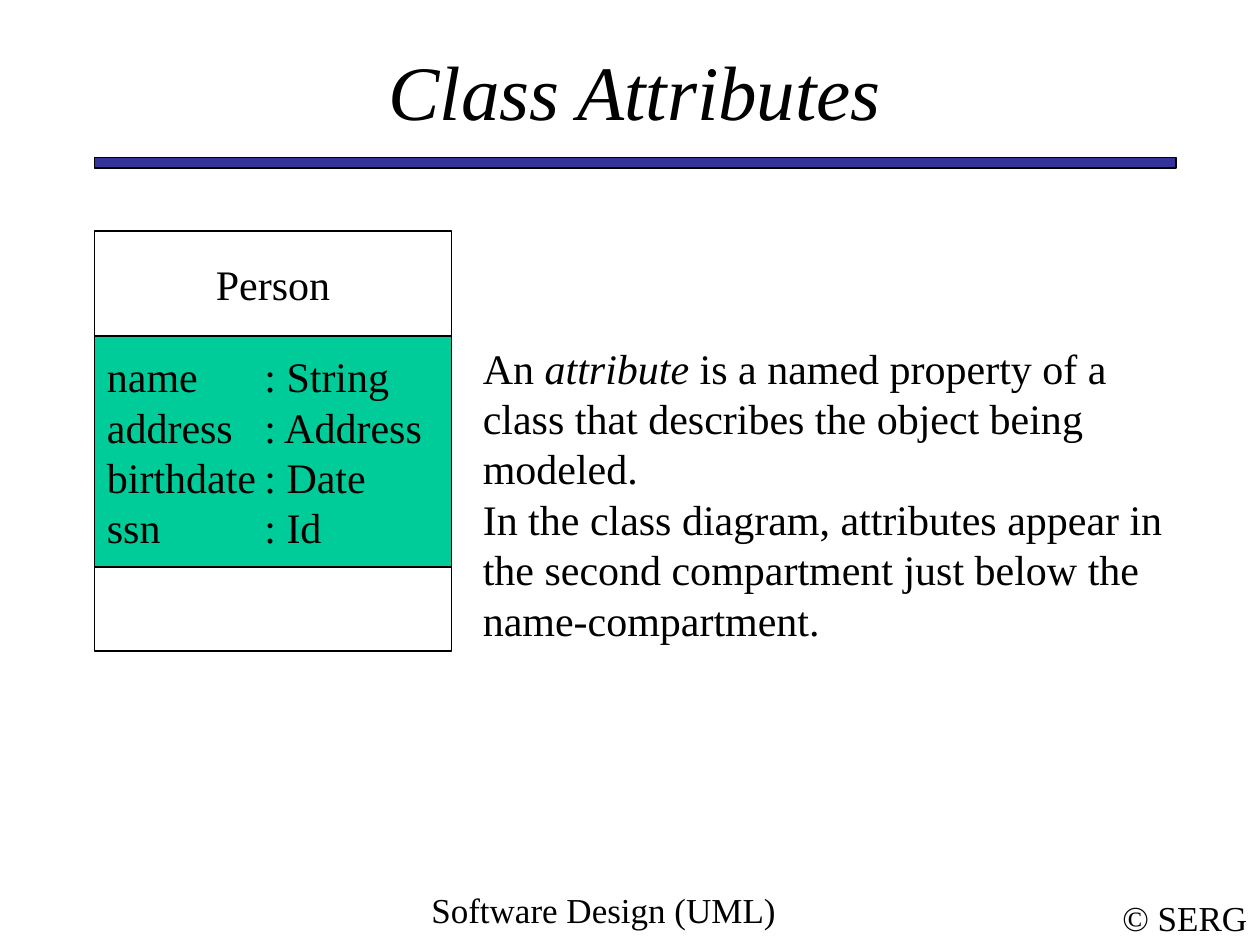
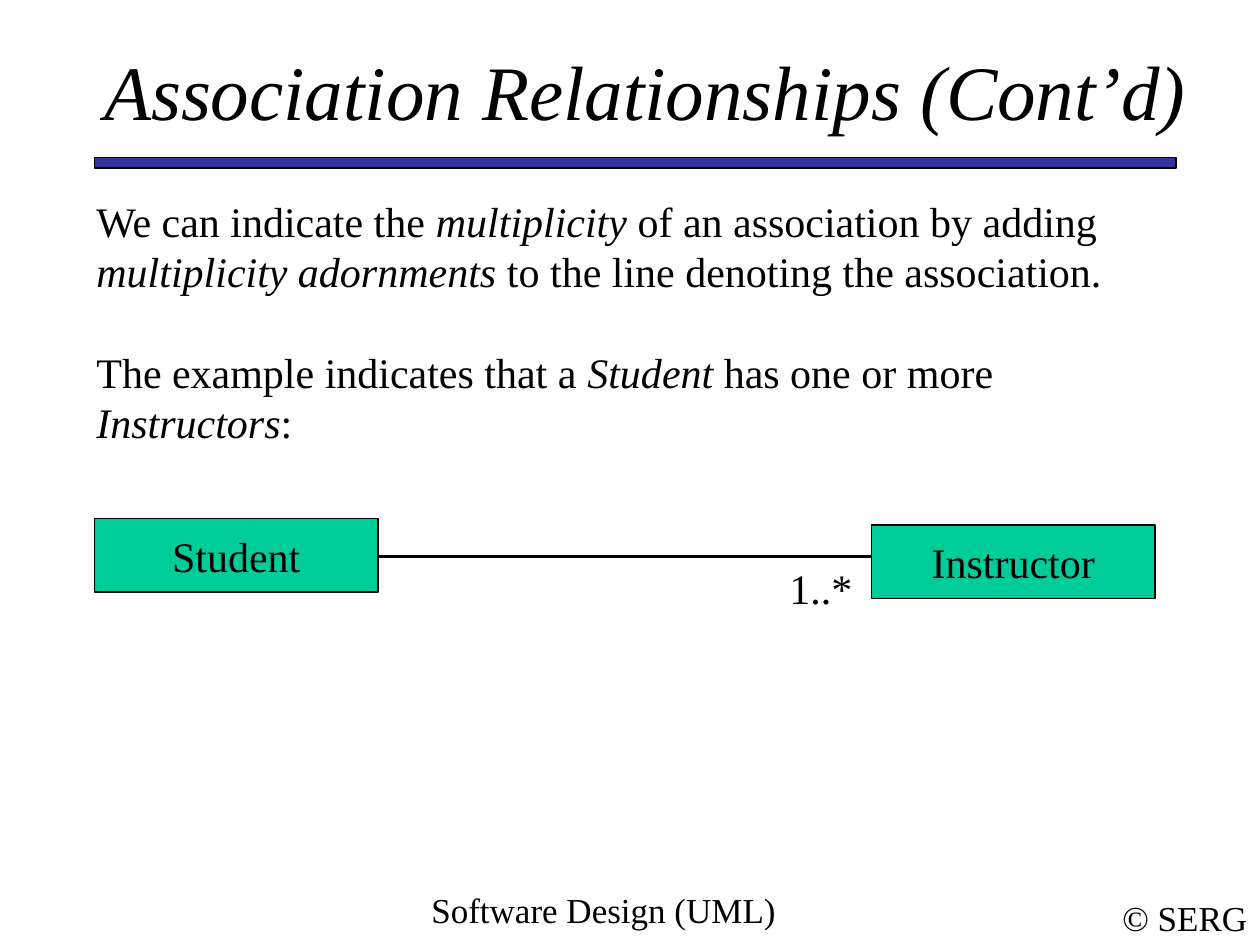
from dataclasses import dataclass

from lxml import etree
from pptx import Presentation
from pptx import util as u
from pptx.dml.color import RGBColor
from pptx.enum import shapes, text
from pptx.oxml import ns

# Shared style: the slide is a grid of twelfths of an inch
COLUMNS, ROWS = 120, 90
CELL = u.Inches(1) // 12
FONT = "Times New Roman"
BLACK, WHITE, GREEN, BLUE = "000000", "FFFFFF", "00CC99", "333399"
TITLE_SIZE, BODY_SIZE, FOOTER_SIZE = 44, 24, 20
LINE_HEIGHT = 1.2 * BODY_SIZE
LEFT, CENTER = text.PP_ALIGN.LEFT, text.PP_ALIGN.CENTER
TOP, MIDDLE = text.MSO_ANCHOR.TOP, text.MSO_ANCHOR.MIDDLE


@dataclass(frozen=True)
class Area:
    column: float
    row: float
    columns: float
    rows: float


@dataclass(frozen=True)
class Box:
    """A filled rectangle; underscores in its lines mark italics."""
    area: Area
    fill: str
    lines: tuple[str, ...] = ()
    align: text.PP_ALIGN = CENTER
    tab: float = 0


@dataclass(frozen=True)
class Label:
    """Plain text; underscores in its lines mark italics."""
    area: Area
    lines: tuple[str, ...]
    size: int = BODY_SIZE
    align: text.PP_ALIGN = LEFT
    anchor: text.MSO_ANCHOR = TOP
    wrap: bool = True
    gap: float = 0


BAND = Box(Area(9, 15, 103, 1), BLUE)
FOOTERS = (
    Label(Area(105.7, 84.8, 14.3, 5.2), ("© SERG",), FOOTER_SIZE, CENTER, MIDDLE, False),
    Label(Area(31, 84, 53, 6), ("Software Design (UML)",), FOOTER_SIZE, CENTER),
)


def cells(count: float) -> u.Emu:
    return u.Emu(round(count * CELL))


def color(value: str) -> RGBColor:
    return RGBColor.from_string(value)


def bounds(area: Area) -> tuple[u.Emu, ...]:
    return tuple(cells(n) for n in (area.column, area.row, area.columns, area.rows))


def format_font(font, size: int, italic: bool = False) -> None:
    font.name = FONT
    font.size = u.Pt(size)
    font.italic = italic
    font.color.rgb = color(BLACK)


def add_tab(paragraph, position: float) -> None:
    properties = paragraph._p.get_or_add_pPr()
    tabs = etree.SubElement(properties, ns.qn("a:tabLst"))
    etree.SubElement(tabs, ns.qn("a:tab"), pos=str(cells(position)), algn="l")


def write(frame, lines: tuple[str, ...], size: int, align: text.PP_ALIGN,
          anchor: text.MSO_ANCHOR, wrap: bool = True, gap: float = 0,
          tab: float = 0) -> None:
    frame.word_wrap = wrap
    frame.vertical_anchor = anchor
    for index, line in enumerate(lines):
        paragraph = frame.add_paragraph() if index else frame.paragraphs[0]
        paragraph.alignment = align
        if index and gap:
            paragraph.space_before = u.Pt(gap)
        if tab:
            add_tab(paragraph, tab)
        for part, words in enumerate(line.split("_")):
            if words:
                run = paragraph.add_run()
                run.text = words
                format_font(run.font, size, italic=part % 2 == 1)


def add_box(slide, box: Box) -> None:
    shape = slide.shapes.add_shape(shapes.MSO_SHAPE.RECTANGLE, *bounds(box.area))
    shape.shadow.inherit = False
    shape.fill.solid()
    shape.fill.fore_color.rgb = color(box.fill)
    shape.line.color.rgb = color(BLACK)
    shape.line.width = u.Pt(0.75)
    write(shape.text_frame, box.lines, BODY_SIZE, box.align, MIDDLE, tab=box.tab)


def add_label(slide, label: Label) -> None:
    shape = slide.shapes.add_textbox(*bounds(label.area))
    write(shape.text_frame, label.lines, label.size, label.align, label.anchor,
          label.wrap, label.gap)


def add_line(slide, start: float, end: float, row: float) -> None:
    line = slide.shapes.add_connector(
        shapes.MSO_CONNECTOR.STRAIGHT, cells(start), cells(row), cells(end), cells(row))
    line.line.color.rgb = color(BLACK)
    line.line.width = u.Pt(2.25)
    etree.SubElement(line._element.spPr, ns.qn("a:effectLst"))


def add_slide(presentation, title: str, title_area: Area):
    slide = presentation.slides.add_slide(presentation.slide_layouts[5])
    slide.background.fill.solid()
    slide.background.fill.fore_color.rgb = color(WHITE)
    shape = slide.shapes.title
    shape.left, shape.top, shape.width, shape.height = bounds(title_area)
    frame = shape.text_frame
    frame.text = title
    frame.auto_size = text.MSO_AUTO_SIZE.NONE
    frame.vertical_anchor = MIDDLE
    frame.paragraphs[0].alignment = CENTER
    format_font(frame.paragraphs[0].runs[0].font, TITLE_SIZE, italic=True)
    add_box(slide, BAND)
    for footer in FOOTERS:
        add_label(slide, footer)
    return slide


def build_class_attributes(presentation) -> None:
    slide = add_slide(presentation, "Class Attributes", Area(9, 5, 103, 7))
    # Class diagram: stacked name, attribute and operation compartments
    attributes = ("name\t: String", "address\t: Address", "birthdate\t: Date", "ssn\t: Id")
    row = 22
    for rows, fill, lines, align, tab in (
        (10, WHITE, ("Person",), CENTER, 0),
        (22, GREEN, attributes, LEFT, 15),
        (8, WHITE, (), CENTER, 0),
    ):
        add_box(slide, Box(Area(9, row, 34, rows), fill, lines, align, tab))
        row += rows
    # Explanation
    add_label(slide, Label(Area(44.8, 32, 68.8, 30), (
        "An _attribute_ is a named property of a class that describes "
        "the object being modeled.",
        "In the class diagram, attributes appear in the second compartment "
        "just below the name-compartment.",
    )))


def build_association(presentation) -> None:
    slide = add_slide(presentation, "Association Relationships (Cont’d)", Area(8, 5, 107, 7))
    # Explanation
    add_label(slide, Label(Area(8, 18, 106.4, 25.2), (
        "We can indicate the _multiplicity_ of an association by adding "
        "_multiplicity adornments_ to the line denoting the association.",
        "The example indicates that a _Student_ has one or more _Instructors_:",
    ), gap=LINE_HEIGHT))
    # Association between the two classes
    add_line(slide, 36, 83, 53)
    add_box(slide, Box(Area(83, 50, 27, 7), GREEN, ("Instructor",)))
    add_box(slide, Box(Area(9, 49.4, 27, 7), GREEN, ("Student",)))
    add_label(slide, Label(Area(74, 53, 9, 6), ("1..*",)))


def main() -> None:
    presentation = Presentation()
    presentation.slide_width = cells(COLUMNS)
    presentation.slide_height = cells(ROWS)
    build_class_attributes(presentation)
    build_association(presentation)
    presentation.save("out.pptx")


if __name__ == "__main__":
    main()
